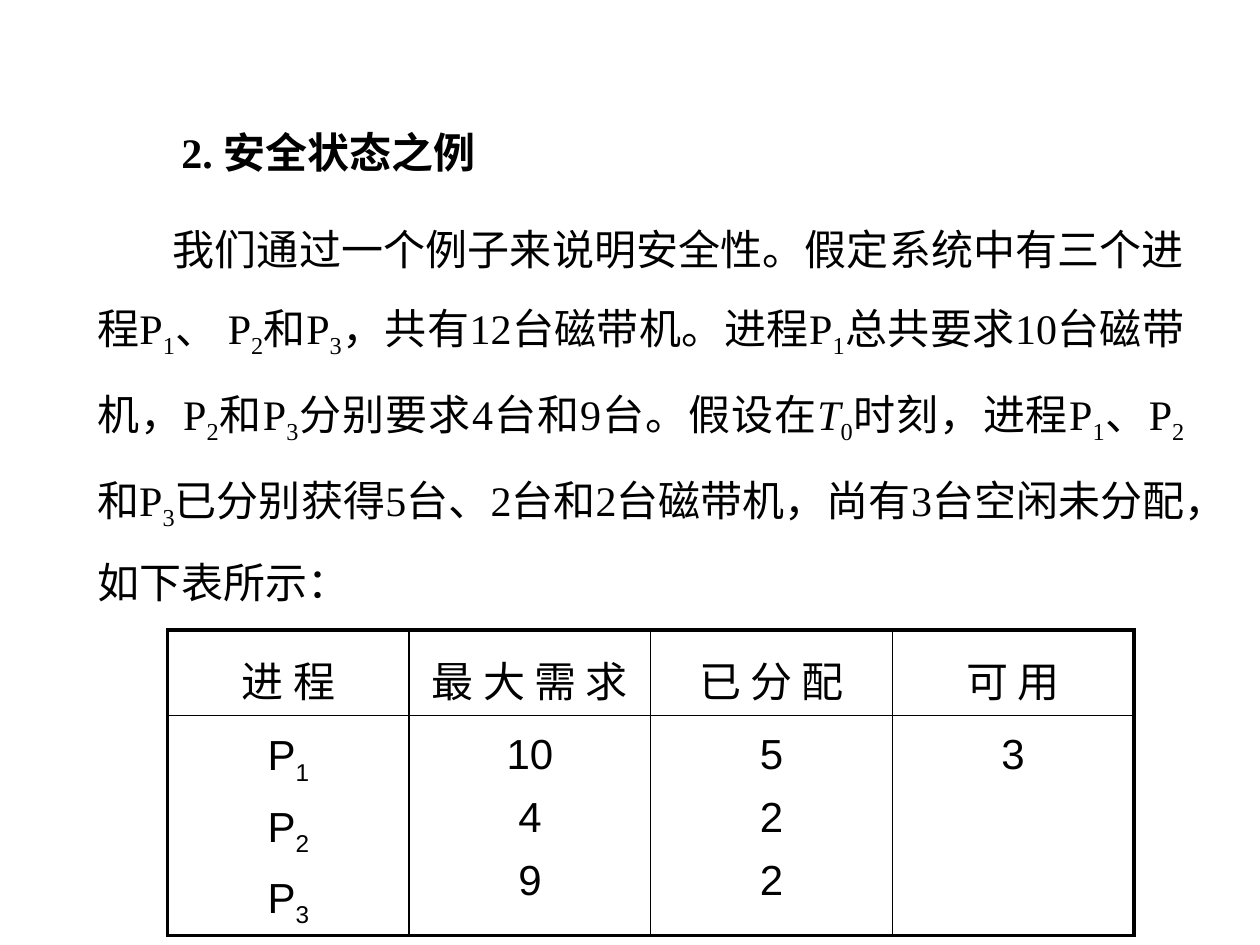
from lxml.etree import SubElement
from pptx import Presentation
from pptx.dml.color import RGBColor
from pptx.enum.text import MSO_ANCHOR as Anchor, MSO_AUTO_SIZE as AutoSize, PP_ALIGN as Align
from pptx.oxml.ns import qn
from pptx.util import Inches, Pt

HEADING = "2. 安全状态之例"
# Pieces are parted by "|"; "_" marks a subscript and "/" an italic
EXAMPLE = (
    "我们通过一个例子来说明安全性。假定系统中有三个进程P|_1|、 P|_2|和P|_3|，"
    "共有12台磁带机。进程P|_1|总共要求10台磁带机，P|_2|和P|_3|分别要求4台和9台。"
    "假设在|/T|_0|时刻，进程P|_1|、P|_2|和P|_3|已分别获得5台、2台和2台磁带机，"
    "尚有3台空闲未分配，如下表所示："
)
ALLOCATION = [
    [["进 程"], ["最 大 需 求"], ["已 分 配"], ["可 用"]],
    [["P|_1", "P|_2", "P|_3"], ["10", "4", "9"], ["5", "2", "2"], ["3"]],
]


def color(value):
    return RGBColor.from_string(value)


def write(frame, lines, font, size=24, ink="000000", bold=False,
          align=Align.CENTER, spacing=1.2, before=0, indent=0):
    """Fill a text frame, one paragraph for each line."""
    for number, line in enumerate(lines):
        paragraph = frame.add_paragraph() if number else frame.paragraphs[0]
        paragraph.alignment = align
        paragraph.line_spacing = spacing
        paragraph.space_before = Pt(before if number else 0)
        if indent:
            properties = paragraph._p.get_or_add_pPr()
            properties.set("marL", "0")
            properties.set("indent", str(Inches(indent)))
            SubElement(properties, qn("a:buNone"))
        for piece in line.split("|"):
            run = paragraph.add_run()
            run.text = piece.lstrip("_/")
            run.font.name, run.font.size = font, Pt(size)
            run.font.bold = bold
            run.font.italic = piece.startswith("/")
            run.font.color.rgb = color(ink)
            if piece.startswith("_"):
                run.font._element.set("baseline", "-25000")


class Page:
    serif, sans, ink = "Times New Roman", "Arial", "000000"
    thin, thick = 1, 2.25

    def __init__(self, slide):
        self.slide = slide

    def prose(self, placeholder, box, text, indent, bold=False):
        placeholder.left, placeholder.top, placeholder.width, placeholder.height = map(Inches, box)
        frame = placeholder.text_frame
        frame.word_wrap = True
        frame.auto_size = AutoSize.NONE
        frame.vertical_anchor = Anchor.TOP
        write(frame, [text], self.serif, ink=self.ink, bold=bold,
              align=Align.JUSTIFY, spacing=1.5, indent=indent)

    def border(self, cell, side, width):
        line = SubElement(cell._tc.get_or_add_tcPr(), qn("a:" + side), w=str(Pt(width)))
        fill = SubElement(line, qn("a:solidFill"))
        SubElement(fill, qn("a:srgbClr"), val=self.ink)

    def table(self, box, heights, rows):
        last_row, last_column = len(rows) - 1, len(rows[0]) - 1
        table = self.slide.shapes.add_table(
            len(rows), len(rows[0]), *map(Inches, box)).table
        table.first_row = table.horz_banding = False
        for r, row in enumerate(rows):
            table.rows[r].height = Inches(heights[r])
            for c, lines in enumerate(row):
                cell = table.cell(r, c)
                write(cell.text_frame, lines, self.sans, ink=self.ink, before=4)
                # Thick frame outside, thin rules inside
                outer = {"lnL": c == 0, "lnR": c == last_column,
                         "lnT": r == 0, "lnB": r == last_row}
                for side, is_outer in outer.items():
                    self.border(cell, side, self.thick if is_outer else self.thin)
                cell.fill.background()


def main():
    deck = Presentation()
    deck.slide_width, deck.slide_height = Inches(10), Inches(7.5)
    slide = deck.slides.add_slide(deck.slide_layouts[1])
    page = Page(slide)

    # Heading and example
    heading, example = slide.placeholders
    page.prose(heading, (0.67, 0.75, 8.83, 0.77), HEADING, indent=0.67, bold=True)
    page.prose(example, (0.67, 1.52, 8.83, 3.12), EXAMPLE, indent=0.6)

    # Allocation of the tape drives
    page.table((1.33, 5, 7.67, 2.28), (0.58, 1.7), ALLOCATION)

    deck.save("out.pptx")


if __name__ == "__main__":
    main()
